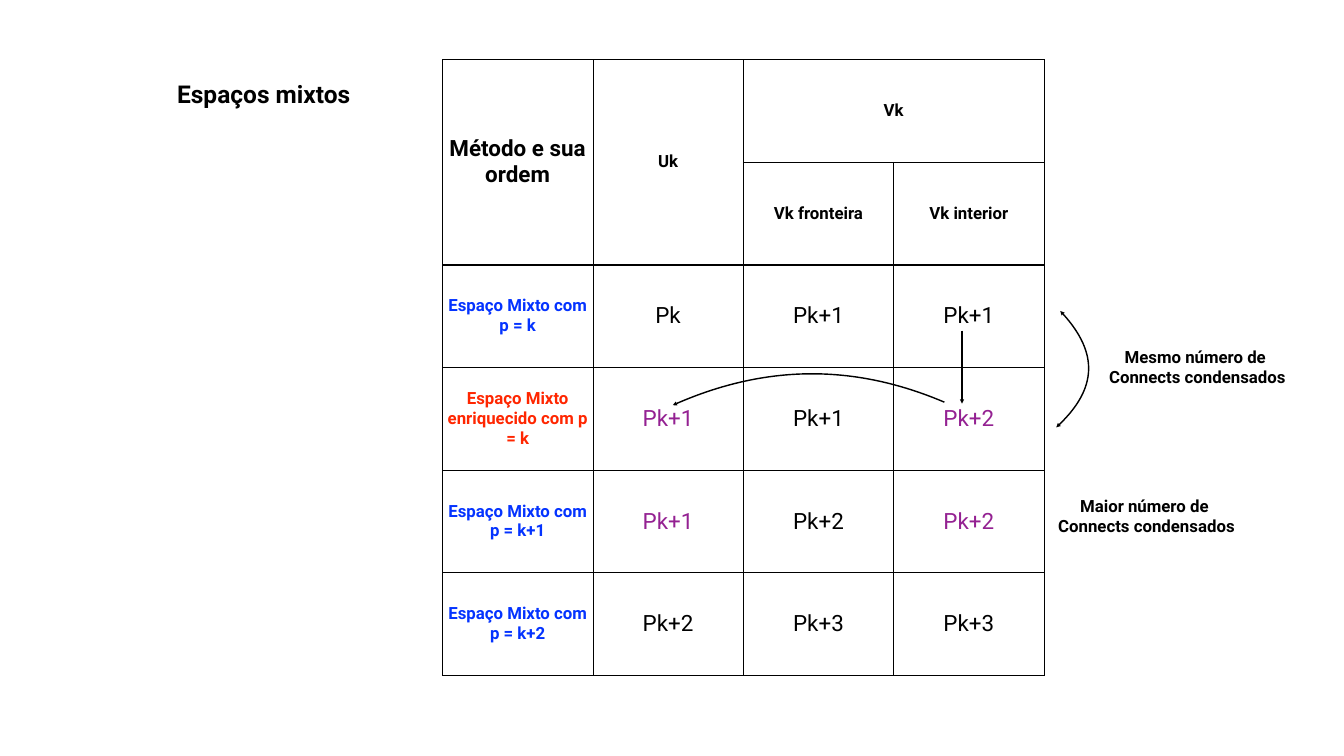
from lxml.etree import SubElement
from pptx import Presentation
from pptx.dml.color import RGBColor
from pptx.enum.shapes import MSO_CONNECTOR
from pptx.enum.text import MSO_ANCHOR, PP_ALIGN
from pptx.oxml.ns import qn
from pptx.util import Inches, Pt

BLACK = RGBColor(0x00, 0x00, 0x00)
BLUE = RGBColor(0x04, 0x33, 0xFF)
RED = RGBColor(0xFF, 0x26, 0x00)
PURPLE = RGBColor(0x94, 0x21, 0x92)

TITLE = {"name": "Roboto", "size": Pt(35), "bold": True}
HEADING = {"name": "Roboto", "size": Pt(32), "bold": True}
LABEL = {"name": "Roboto", "size": Pt(24), "bold": True}
ORDER = {"name": "Roboto", "size": Pt(32), "bold": False}
MARGINS = dict.fromkeys(
    ("margin_left", "margin_top", "margin_right", "margin_bottom"), Inches(0.06))

HEADER_ROWS = 2
HEADERS = [
    ((0, 0), (1, 0), "Método e sua ordem", HEADING),
    ((0, 1), (1, 1), "Uk", LABEL),
    ((0, 2), (0, 3), "Vk", LABEL),
    ((1, 2), (1, 2), "Vk fronteira", LABEL),
    ((1, 3), (1, 3), "Vk interior", LABEL),
]
METHODS = [
    ("Espaço Mixto com p = k", BLUE, ("Pk", "Pk+1", "Pk+1"), ()),
    ("Espaço Mixto enriquecido com p = k", RED, ("Pk+1", "Pk+1", "Pk+2"), (0, 2)),
    ("Espaço Mixto com p = k+1", BLUE, ("Pk+1", "Pk+2", "Pk+2"), (0, 2)),
    ("Espaço Mixto com p = k+2", BLUE, ("Pk+2", "Pk+3", "Pk+3"), ()),
]


def apply_format(target, values):
    """Set each named attribute on the target."""
    for name, value in values.items():
        setattr(target, name, value)


def write_lines(frame, lines, font_format, color=BLACK):
    """Write centred paragraphs in one font format."""
    for index, line in enumerate(lines):
        paragraph = frame.add_paragraph() if index else frame.paragraphs[0]
        paragraph.alignment = PP_ALIGN.CENTER
        run = paragraph.add_run()
        run.text = line
        apply_format(run.font, font_format)
        run.font.color.rgb = color


def add_caption(slide, box, lines, font_format):
    """Place an unwrapped caption in the given box."""
    frame = slide.shapes.add_textbox(*map(Inches, box)).text_frame
    apply_format(frame, {**MARGINS, "word_wrap": False,
                         "vertical_anchor": MSO_ANCHOR.MIDDLE})
    write_lines(frame, lines, font_format)


def set_borders(cell, widths):
    """Draw the cell's black borders, given side and width in points."""
    properties = cell._tc.get_or_add_tcPr()
    for side, width in widths.items():
        border = SubElement(properties, qn(f"a:ln{side}"), w=str(Pt(width)))
        fill = SubElement(border, qn("a:solidFill"))
        SubElement(fill, qn("a:srgbClr"), val=str(BLACK))


def fill_cell(cell, text, font_format, color=BLACK):
    """Write one centred table entry."""
    write_lines(cell.text_frame, [text], font_format, color)


def add_spaces_table(slide, box):
    """Build the table of methods and their space orders."""
    row_count, column_count = HEADER_ROWS + len(METHODS), 4
    table = slide.shapes.add_table(row_count, column_count, *map(Inches, box)).table
    apply_format(table, {"first_row": False, "horz_banding": False})
    for column in table.columns:
        column.width = Inches(box[2] / column_count)
    for row_index, row in enumerate(table.rows):
        row.height = Inches(box[3] / row_count)
        for cell in row.cells:
            set_borders(cell, {"L": 1, "R": 1,
                               "T": 3 if row_index == HEADER_ROWS else 1,
                               "B": 3 if row_index == HEADER_ROWS - 1 else 1})
            cell.fill.background()
            apply_format(cell, {**MARGINS, "vertical_anchor": MSO_ANCHOR.MIDDLE})

    for first, last, text, font_format in HEADERS:
        if first != last:
            table.cell(*first).merge(table.cell(*last))
        fill_cell(table.cell(*first), text, font_format)
    for row_index, (method, color, orders, raised) in enumerate(METHODS, HEADER_ROWS):
        fill_cell(table.cell(row_index, 0), method, LABEL, color)
        for index, order in enumerate(orders):
            fill_cell(table.cell(row_index, index + 1), order, ORDER,
                      PURPLE if index in raised else BLACK)


def style_arrow(arrow, ends):
    """Give a line its black stroke and arrowheads, without shadow."""
    arrow.line.color.rgb = BLACK
    arrow.line.width = Pt(2)
    stroke = arrow.line._get_or_add_ln()
    for end in ends:
        SubElement(stroke, qn(f"a:{end}"), type="triangle")
    SubElement(arrow._element.spPr, qn("a:effectLst"))


def add_straight_arrow(slide, start, end):
    """Draw a straight arrow between two points."""
    arrow = slide.shapes.add_connector(
        MSO_CONNECTOR.STRAIGHT, *map(Inches, (*start, *end)))
    style_arrow(arrow, ["tailEnd"])


def add_curved_arrow(slide, curve, ends):
    """Draw a cubic curve whose box spans its ends and its midpoint."""
    points = [tuple(map(Inches, point)) for point in curve]
    start, _, _, end = points
    middle = tuple(int((a + 3 * b + 3 * c + d) / 8) for a, b, c, d in zip(*points))
    builder = slide.shapes.build_freeform(*start)
    builder.add_line_segments([middle, end], close=False)
    arrow = builder.convert_to_shape()
    arrow.fill.background()

    outline = arrow._element.find(f".//{qn('a:moveTo')}").getparent()
    for segment in outline.findall(qn("a:lnTo")):
        outline.remove(segment)
    bezier = SubElement(outline, qn("a:cubicBezTo"))
    for x, y in points[1:]:
        SubElement(bezier, qn("a:pt"), x=str(x - arrow.left), y=str(y - arrow.top))
    style_arrow(arrow, ends)


def add_arrows(slide):
    """Link the related orders and methods."""
    add_straight_arrow(slide, (19.09, 6.56), (19.09, 8.01))
    add_curved_arrow(slide, [(13.35, 8.04), (15.14, 7.24), (16.93, 7.21),
                             (18.74, 7.98)], ["headEnd"])
    add_curved_arrow(slide, [(21.04, 6.17), (21.8, 6.97), (21.77, 7.74),
                             (20.96, 8.48)], ["headEnd", "tailEnd"])


def main():
    """Build and save the slide."""
    presentation = Presentation()
    apply_format(presentation, {"slide_width": Inches(26.67),
                                "slide_height": Inches(15)})
    slide = presentation.slides.add_slide(presentation.slide_layouts[6])
    add_caption(slide, (3.33, 1.51, 3.81, 0.69), ["Espaços mixtos"], TITLE)
    add_caption(slide, (21.82, 6.83, 3.88, 0.91),
                ["Mesmo número de ", "Connects condensados"], LABEL)
    add_spaces_table(slide, (8.78, 1.18, 11.94, 12.22))
    add_arrows(slide)
    add_caption(slide, (20.81, 9.78, 3.88, 0.91),
                ["Maior número de ", "Connects condensados"], LABEL)
    presentation.save("out.pptx")


if __name__ == "__main__":
    main()
